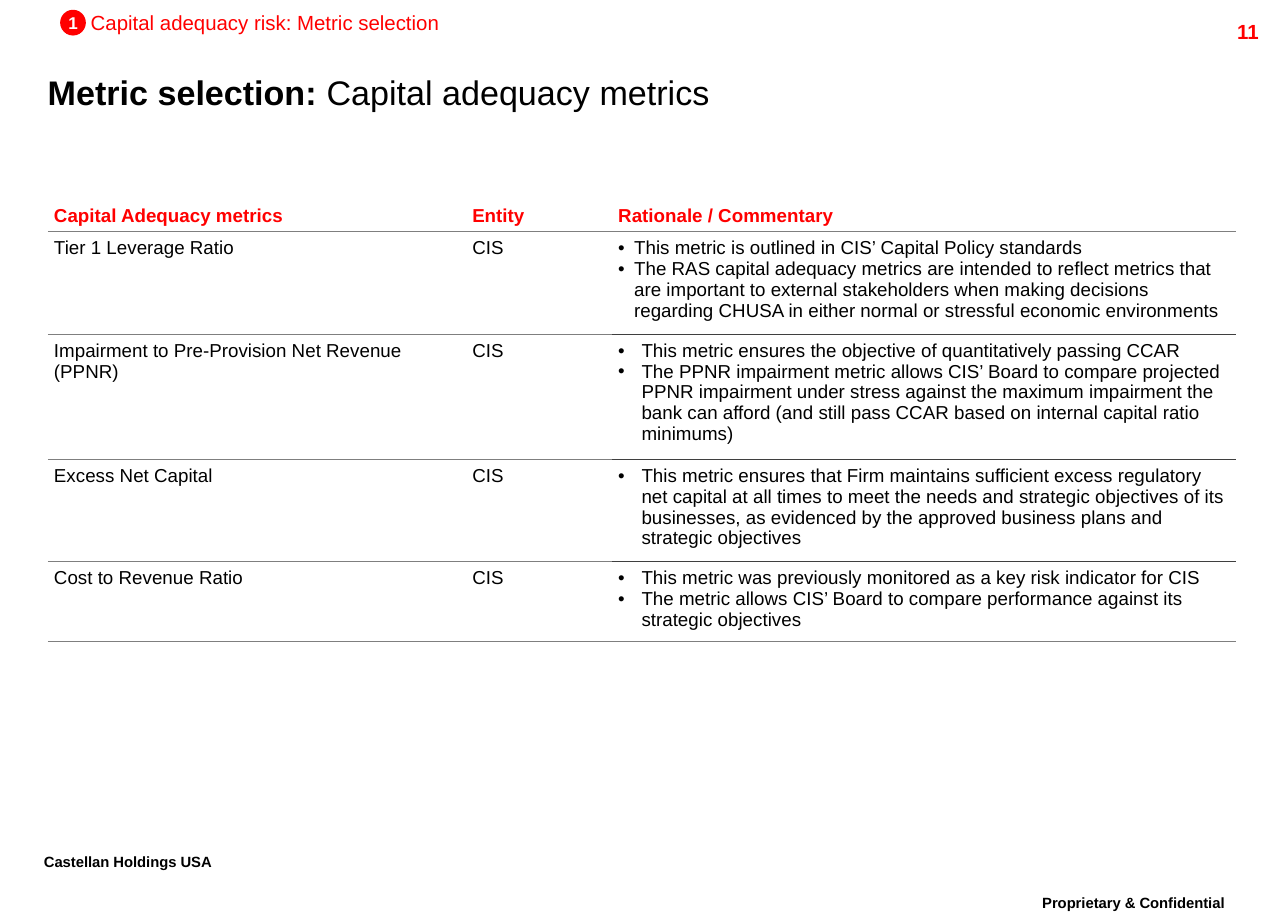
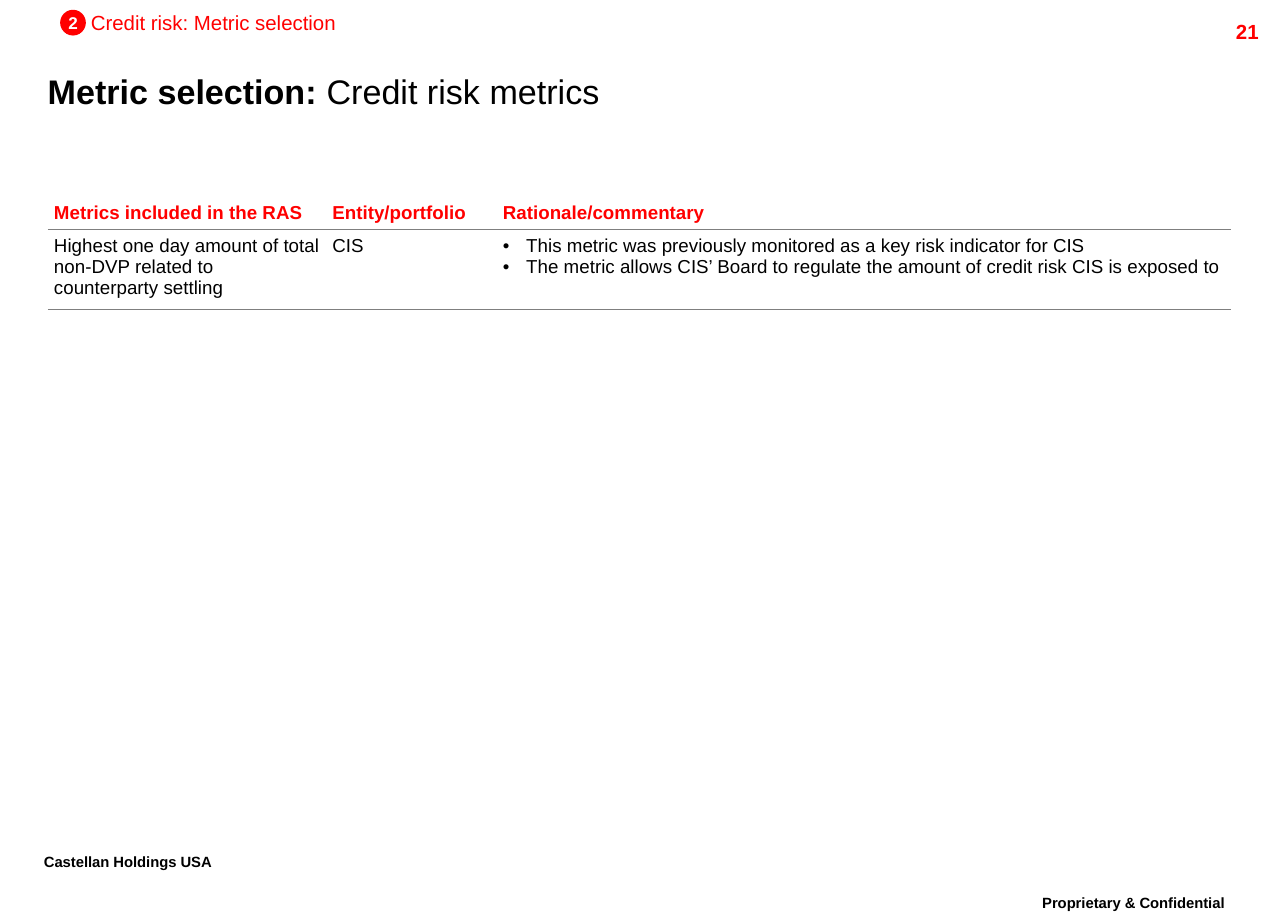
from dataclasses import dataclass

from lxml.etree import SubElement
from pptx import Presentation
from pptx.dml.color import RGBColor
from pptx.enum.shapes import MSO_SHAPE as Shape
from pptx.enum.text import MSO_ANCHOR as Anchor, MSO_AUTO_SIZE as AutoSize, PP_ALIGN as Align
from pptx.oxml import parse_xml
from pptx.oxml.ns import nsdecls, qn
from pptx.util import Inches, Pt

RED = RGBColor(0xFF, 0x00, 0x00)
BLACK = RGBColor(0x00, 0x00, 0x00)
WHITE = RGBColor(0xFF, 0xFF, 0xFF)
GREY = RGBColor(0x7F, 0x7F, 0x7F)
DARK_GREY = RGBColor(0x3F, 0x3F, 0x3F)
FONT = "Arial"
TIGHT = 0.86
HEADER_HEIGHT = 0.29
NO_STYLE_NO_GRID = "{2D5ABB26-0587-4C30-8999-92F81FD0307C}"


@dataclass
class Metric:
    """One table row: a metric, its entity and the reasons for it."""
    name: str
    entity: str
    reasons: list
    height: float
    indent: float = 0.19


def style_run(run, size, color, bold=False):
    """Give a run its font, size, colour and weight."""
    run.font.name = FONT
    run.font.size = Pt(size)
    run.font.color.rgb = color
    run.font.bold = bold


def set_margins(target, margin):
    """Set the same margin on all four sides of a text frame or cell."""
    target.margin_left = target.margin_right = Inches(margin)
    target.margin_top = target.margin_bottom = Inches(margin)


def add_text(shapes, box, runs, size, color, align=Align.LEFT, spacing=None, wrap=True):
    """Add a one-paragraph text box made of (text, bold) runs."""
    shape = shapes.add_textbox(*map(Inches, box))
    text_frame = shape.text_frame
    text_frame.word_wrap = wrap
    paragraph = text_frame.paragraphs[0]
    paragraph.alignment = align
    if spacing:
        paragraph.line_spacing = spacing
    for text, bold in runs:
        run = paragraph.add_run()
        run.text = text
        style_run(run, size, color, bold)
    return shape


def add_footer(shapes, box, text, align, wrap):
    """Add a bold raised footer text."""
    shape = add_text(shapes, box, [(text, True)], 15, BLACK, align, TIGHT, wrap)
    run = shape.text_frame.paragraphs[0].runs[0]
    run.font._element.set("baseline", "30000")


def add_section_tag(slide, left, top, number, text, width):
    """Add the numbered red disc and the section name beside it."""
    group = slide.shapes.add_group_shape()
    label = add_text(group.shapes, (left + 0.25, top, width, 0.2),
                     [(text, False)], 12, RED, wrap=False)
    set_margins(label.text_frame, 0)
    label.text_frame.auto_size = AutoSize.SHAPE_TO_FIT_TEXT
    disc = group.shapes.add_shape(Shape.OVAL, *map(Inches, (left, top, 0.21, 0.21)))
    disc.shadow.inherit = False
    disc.fill.solid()
    disc.fill.fore_color.rgb = RED
    disc.line.fill.background()
    text_frame = disc.text_frame
    set_margins(text_frame, 0)
    text_frame.word_wrap = False
    text_frame.vertical_anchor = Anchor.MIDDLE
    text_frame.text = number
    paragraph = text_frame.paragraphs[0]
    paragraph.alignment = Align.CENTER
    style_run(paragraph.runs[0], 10, WHITE, True)


def add_frame(presentation, page, section, section_width, title, title_top):
    """Add a slide with footers, page number, title and section tag."""
    slide = presentation.slides.add_slide(presentation.slide_layouts[6])
    shapes = slide.shapes
    add_footer(shapes, (8.15, 7.25, 2.18, 0.35), "Proprietary & Confidential", Align.CENTER, True)
    add_footer(shapes, (0.26, 6.91, 1.91, 0.35), "Castellan Holdings USA", Align.LEFT, False)
    add_text(shapes, (9.36, 0.11, 1, 0.24), [(page, True)], 12, RED, Align.RIGHT)
    add_text(shapes, (0.29, title_top, 10.21, 0.39),
             [("Metric selection: ", True), (title, False)], 20, BLACK, spacing=TIGHT)
    number, name = section
    add_section_tag(slide, 0.49, 0.08, number, name, section_width)
    return slide


def add_bullet(paragraph, indent):
    """Turn a paragraph into a black bullet with a hanging indent."""
    properties = paragraph._p.get_or_add_pPr()
    properties.set("marL", str(Inches(indent)))
    properties.set("indent", str(-Inches(indent)))
    color = SubElement(properties, qn("a:buClr"))
    SubElement(color, qn("a:srgbClr"), val=str(BLACK))
    SubElement(properties, qn("a:buFont"), typeface=FONT)
    SubElement(properties, qn("a:buChar"), char="•")


def add_rule(cell, side, color):
    """Draw a thin line along the top (T) or bottom (B) of a cell."""
    rule = parse_xml(
        f'<a:ln{side} {nsdecls("a")} w="{Pt(0.75)}"><a:solidFill>'
        f'<a:srgbClr val="{color}"/></a:solidFill></a:ln{side}>')
    cell._tc.get_or_add_tcPr().insert(0, rule)


def fill_cell(cell, lines, color=BLACK, bold=False, indent=None):
    """Write lines into a white cell, as bullets when an indent is given."""
    set_margins(cell, 0.05)
    cell.fill.solid()
    cell.fill.fore_color.rgb = WHITE
    cell.text_frame.text = "\n".join(lines)
    for paragraph in cell.text_frame.paragraphs:
        if indent:
            add_bullet(paragraph, indent)
        style_run(paragraph.runs[0], 11, color, bold)


def add_metric_table(slide, left, top, widths, headings, metrics):
    """Add the table of metrics, ruled below every row."""
    heights = [HEADER_HEIGHT] + [metric.height for metric in metrics]
    frame = slide.shapes.add_table(len(heights), len(widths), *map(
        Inches, (left, top, sum(widths), sum(heights))))
    table = frame.table
    table.first_row = table.horz_banding = False
    table._tbl.tblPr.find(qn("a:tableStyleId")).text = NO_STYLE_NO_GRID
    for column, width in zip(table.columns, widths):
        column.width = Inches(width)
    for row, height in zip(table.rows, heights):
        row.height = Inches(height)
    for index, heading in enumerate(headings):
        cell = table.cell(0, index)
        fill_cell(cell, [heading], RED, True)
        cell.vertical_anchor = Anchor.BOTTOM
        cell.text_frame.paragraphs[0].line_spacing = TIGHT
    for index, metric in enumerate(metrics, 1):
        fill_cell(table.cell(index, 0), [metric.name])
        fill_cell(table.cell(index, 1), [metric.entity])
        fill_cell(table.cell(index, 2), metric.reasons, indent=metric.indent)
    last = len(metrics)
    for index in range(last + 1):
        for column in range(len(widths)):
            color = DARK_GREY if column == 2 and 0 < index < last else GREY
            add_rule(table.cell(index, column), "B", color)
            if index < last:
                add_rule(table.cell(index + 1, column), "T", color)


def add_capital_slide(presentation):
    """Add the slide on capital adequacy metrics."""
    slide = add_frame(presentation, "11", ("1", "Capital adequacy risk: Metric selection"),
                      2.86, "Capital adequacy metrics", 0.58)
    metrics = [
        Metric("Tier 1 Leverage Ratio", "CIS", [
            "This metric is outlined in CIS’ Capital Policy standards",
            "The RAS capital adequacy metrics are intended to reflect metrics that are important "
            "to external stakeholders when making decisions regarding CHUSA in either normal or "
            "stressful economic environments"], 0.83, 0.13),
        Metric("Impairment to Pre-Provision Net Revenue (PPNR)", "CIS", [
            "This metric ensures the objective of quantitatively passing CCAR",
            "The PPNR impairment metric allows CIS’ Board to compare projected PPNR impairment "
            "under stress against the maximum impairment the bank can afford (and still pass "
            "CCAR based on internal capital ratio minimums)"], 1.02),
        Metric("Excess Net Capital", "CIS", [
            "This metric ensures that Firm maintains sufficient excess regulatory net capital at "
            "all times to meet the needs and strategic objectives of its businesses, as "
            "evidenced by the approved business plans and strategic objectives"], 0.83),
        Metric("Cost to Revenue Ratio", "CIS", [
            "This metric was previously monitored as a key risk indicator for CIS",
            "The metric allows CIS’ Board to compare performance against its strategic "
            "objectives"], 0.65),
    ]
    add_metric_table(slide, 0.39, 1.6, (3.41, 1.19, 5.09),
                     ("Capital Adequacy metrics", "Entity", "Rationale / Commentary"), metrics)


def add_credit_slide(presentation):
    """Add the slide on credit risk metrics."""
    slide = add_frame(presentation, "21", ("2", "Credit risk: Metric selection"),
                      2.02, "Credit risk metrics", 0.57)
    metrics = [
        Metric("Highest one day amount of total non-DVP related to counterparty settling", "CIS", [
            "This metric was previously monitored as a key risk indicator for CIS",
            "The metric allows CIS’ Board to regulate the amount of credit risk CIS is "
            "exposed to"], 0.65),
    ]
    add_metric_table(slide, 0.39, 1.58, (2.27, 1.39, 5.99),
                     ("Metrics included in the RAS", "Entity/portfolio", "Rationale/commentary"),
                     metrics)


def main():
    """Build and save the presentation."""
    presentation = Presentation()
    presentation.slide_width = Inches(10.5)
    presentation.slide_height = Inches(7.5)
    add_capital_slide(presentation)
    add_credit_slide(presentation)
    presentation.save("out.pptx")


if __name__ == "__main__":
    main()
